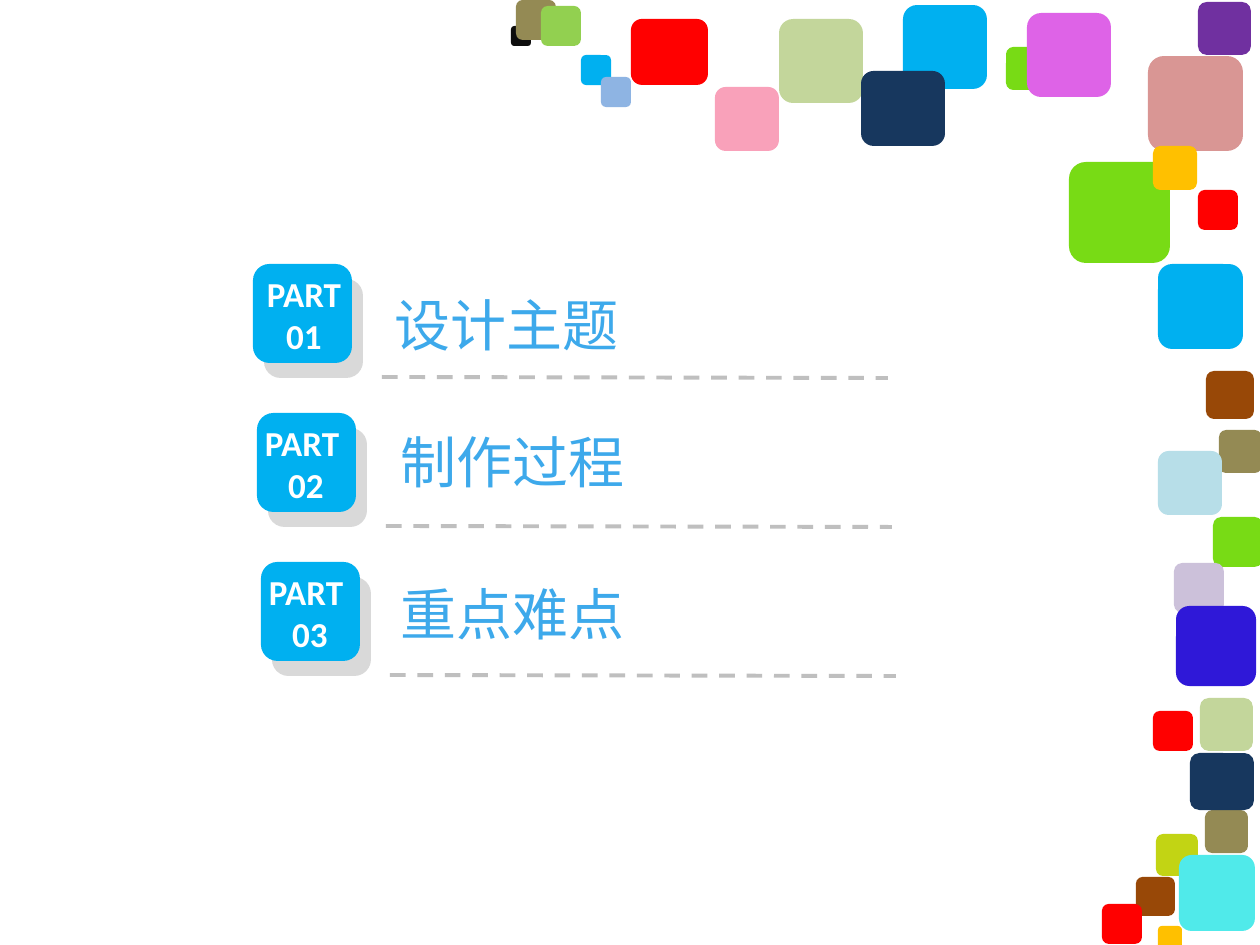
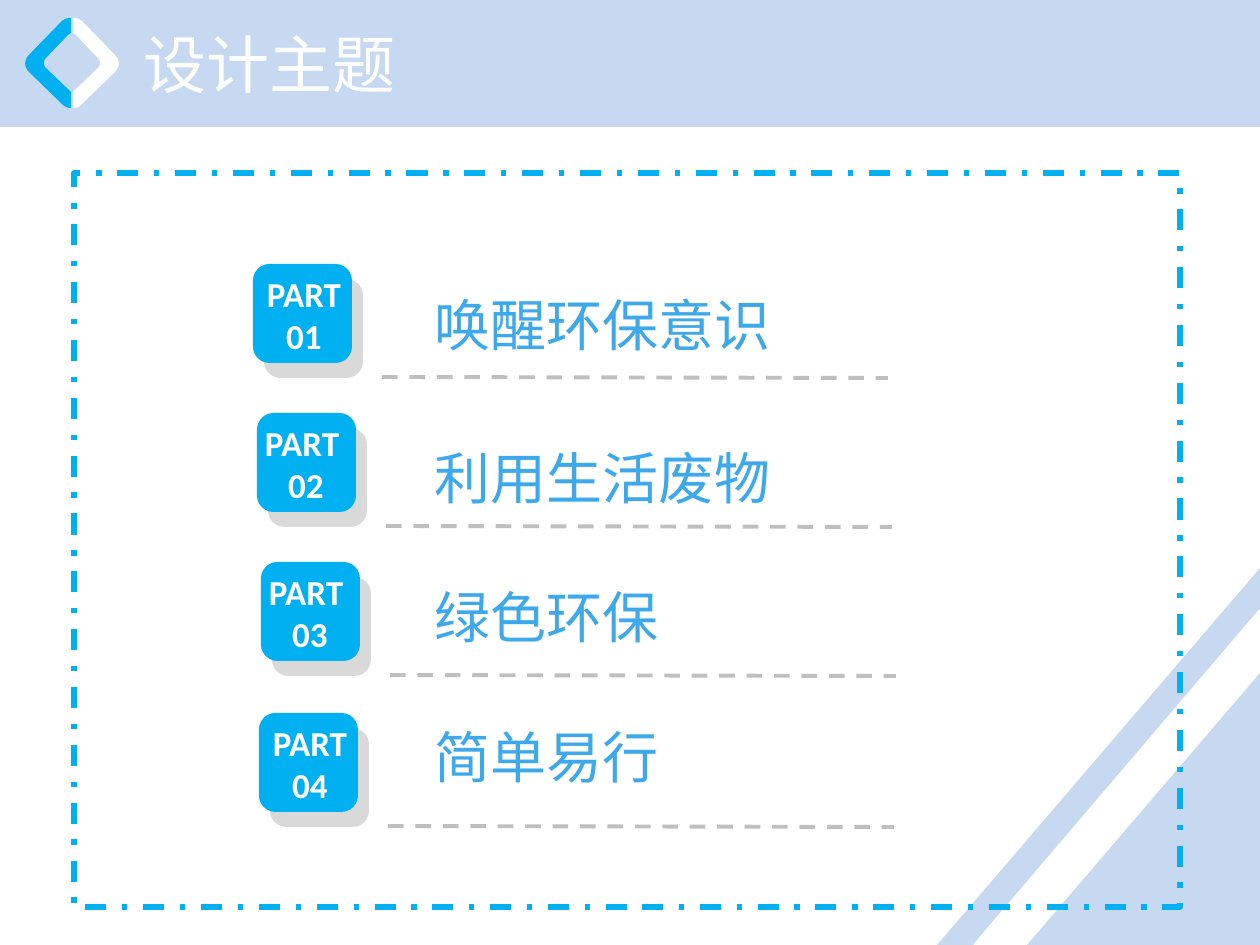
import pptx
import pptx.util
from pptx.dml.color import RGBColor
from pptx.enum.dml import MSO_LINE
from pptx.enum.shapes import MSO_CONNECTOR, MSO_SHAPE
from pptx.enum.text import MSO_ANCHOR, MSO_AUTO_SIZE, PP_ALIGN
from pptx.oxml.ns import qn
from lxml import etree

# Shared look, lengths in px at 126 to the inch
SCALE = 914400 / 126
W, H = 1260, 945
SKY, PALE, LABEL = "00B0F0", "C6D9F1", "3DA9EB"
SHADE, RULE, WHITE = "D9D9D9", "BFBFBF", "FFFFFF"
LATIN, CJK = "Calibri", "Noto Sans CJK SC"

# Contents: (text, left, top) for each part
AGENDA = [("设计主题", 382, 284), ("制作过程", 388, 421), ("重点难点", 388, 573)]
TITLE = "设计主题"
THEMES = [("唤醒环保意识", 422, 284), ("利用生活废物", 422, 437),
          ("绿色环保", 422, 576), ("简单易行", 422, 716)]

# Part badges: left, top, text shift, text width
BADGES = [(253, 264, 0, 102), (257, 413, -5, 108),
          (261, 562, -5, 108), (259, 713, 0, 102)]
BADGE = 99

# Confetti, back to front: left, top, width, height, colour
CONFETTI = [
    (511, 26, 20, 20, "0D0D0D"), (516, 0, 40, 40, "948A54"),
    (581, 55, 30, 30, SKY), (631, 19, 77, 66, "FF0000"),
    (601, 77, 30, 30, "8EB4E3"), (779, 19, 84, 84, "C3D69B"),
    (715, 87, 64, 64, "F9A1BA"), (1206, 371, 48, 48, "984807"),
    (1158, 264, 85, 85, SKY), (903, 5, 84, 84, SKY),
    (1006, 47, 43, 43, "78DB15"), (1027, 13, 84, 84, "DE63E7"),
    (1198, 2, 53, 53, "7030A0"), (1148, 56, 95, 95, "D99694"),
    (1198, 190, 40, 40, "FF0000"), (541, 6, 40, 40, "92D050"),
    (861, 71, 84, 75, "17375E"), (1069, 162, 101, 101, "78DB15"),
    (1153, 146, 44, 44, "FFC000"), (1219, 430, 43, 43, "948A54"),
    (1158, 451, 64, 64, "B7DEE8"), (1213, 517, 50, 50, "78DB15"),
    (1136, 877, 39, 39, "984807"), (1102, 904, 40, 40, "FF0000"),
    (1158, 926, 24, 24, "FFC000"), (1205, 810, 43, 43, "948A54"),
    (1156, 834, 42, 42, "C2D414"), (1179, 855, 76, 76, "50EAEA"),
    (1174, 563, 50, 50, "CCC1DA"), (1176, 606, 80, 80, "2F18D8"),
    (1200, 698, 53, 53, "C3D69B"), (1190, 753, 64, 57, "17375E"),
    (1153, 711, 40, 40, "FF0000"),
]

# Right half of the header emblem: each step is a point or a curve of three
EMBLEM = [
    [(74, 18)], [(77, 18), (79, 19), (82, 21)], [(115, 55)],
    [(120, 60), (120, 67), (115, 72)], [(81, 105)],
    [(79, 107), (76, 108), (73, 108)], [(73, 92)], [(74, 91)], [(97, 69)],
    [(101, 66), (101, 60), (97, 57)], [(76, 35)],
    [(75, 34), (74, 34), (73, 33)], [(73, 18)],
]
EMBLEM_MIRROR = 144


def px(n):
    return pptx.util.Emu(round(n * SCALE))


def rgb(code):
    return RGBColor.from_string(code)


def paint(sp, fill=None, line=None, width=2, dash=None):
    sp.shadow.inherit = False
    if fill:
        sp.fill.solid()
        sp.fill.fore_color.rgb = rgb(fill)
    else:
        sp.fill.background()
    if line:
        sp.line.color.rgb = rgb(line)
        sp.line.width = pptx.util.Pt(width)
        sp.line.dash_style = dash
    else:
        sp.line.fill.background()
    return sp


def shape(shapes, kind, x, y, w, h, fill=None, **outline):
    return paint(shapes.add_shape(kind, px(x), px(y), px(w), px(h)), fill, **outline)


def write(sp, text, size=32, font=CJK, color=LABEL, bold=False,
          align=PP_ALIGN.LEFT, wrap=True):
    tf = sp.text_frame
    tf.word_wrap = wrap
    tf.auto_size = MSO_AUTO_SIZE.NONE
    tf.vertical_anchor = MSO_ANCHOR.TOP
    for i, line in enumerate(text.split("\n")):
        p = tf.add_paragraph() if i else tf.paragraphs[0]
        p.alignment = align
        r = p.add_run()
        r.text = line
        r.font.size = pptx.util.Pt(size)
        r.font.bold = bold
        r.font.color.rgb = rgb(color)
        r.font.name = font
        etree.SubElement(r.font._element, qn("a:ea")).set("typeface", font)


def textbox(shapes, x, y, w, h, text, **fmt):
    write(shapes.add_textbox(px(x), px(y), px(w), px(h)), text, **fmt)


def part(s, number, x, y, shift, text_w):
    """Badge with its shade, number and dashed rule."""
    g = s.shapes.add_group_shape().shapes
    for dx, dy, fill in [(11, 15, SHADE), (0, 0, SKY)]:
        shape(g, MSO_SHAPE.ROUNDED_RECTANGLE, x + dx, y + dy, BADGE, BADGE, fill)
    textbox(g, x + shift, y + 2, text_w, 98, f"PART \n{number:02d}", size=20,
            font=LATIN, color=WHITE, bold=True, align=PP_ALIGN.CENTER)
    rule = g.add_connector(MSO_CONNECTOR.STRAIGHT, px(x + 129), px(y + 113),
                           px(x + 635), px(y + 114))
    rule.line.color.rgb = rgb(RULE)
    rule.line.width = pptx.util.Pt(2.25)
    rule.line.dash_style = MSO_LINE.DASH
    etree.SubElement(rule._element.spPr, qn("a:effectLst"))


def parts(s, items):
    for number, (badge, (text, x, y)) in enumerate(zip(BADGES, items), 1):
        part(s, number, *badge)
        textbox(s.shapes, x, y, 28 + 56 * len(text), 81, text, wrap=False)


def outline_points(steps, n=8):
    """Points of an outline, with each cubic curve cut into n pieces."""
    pts = []
    for step in steps:
        if len(step) == 1:
            pts += step
            continue
        a, (b, c, d) = pts[-1], step
        for t in (i / n for i in range(1, n + 1)):
            u = 1 - t
            pts.append(tuple(u**3 * a[k] + 3 * u * u * t * b[k]
                             + 3 * u * t * t * c[k] + t**3 * d[k] for k in (0, 1)))
    return pts


def emblem(s):
    right = outline_points(EMBLEM)
    left = [(EMBLEM_MIRROR - x, y) for x, y in right]
    g = s.shapes.add_group_shape().shapes
    for pts, fill in [(right, WHITE), (left, SKY)]:
        pts = [(px(x), px(y)) for x, y in pts]
        fb = g.build_freeform(*pts[0])
        fb.add_line_segments(pts[1:], close=True)
        paint(fb.convert_to_shape(), fill)


def corner(s, rise, run, fill, **outline):
    """Right triangle standing in the bottom right corner."""
    half = (rise + run) / 2
    sp = shape(s.shapes, MSO_SHAPE.RIGHT_TRIANGLE, W - half, H - half,
               rise, run, fill, **outline)
    # Turned a quarter about its centre, so move it back to the corner
    sp.left, sp.top = px(W - run / 2 - rise / 2), px(H - rise / 2 - run / 2)
    sp.rotation = 270


def agenda_slide(prs):
    s = prs.slides.add_slide(prs.slide_layouts[6])
    for *box, fill in CONFETTI:
        shape(s.shapes, MSO_SHAPE.ROUNDED_RECTANGLE, *box, fill)
    parts(s, AGENDA)


def theme_slide(prs):
    s = prs.slides.add_slide(prs.slide_layouts[5])
    # Corner stripes and header band
    corner(s, 377, 323, PALE)
    corner(s, 334, 285, WHITE, line=WHITE)
    corner(s, 272, 233, PALE)
    shape(s.shapes, MSO_SHAPE.RECTANGLE, 0, 0, W, 125, PALE, line=PALE)
    emblem(s)
    # Title, brought in front of the band
    title = s.shapes.title
    title.left, title.top, title.width, title.height = map(px, (131, 19, 704, 89))
    write(title, TITLE, size=36, color=WHITE)
    s.shapes._spTree.append(title._element)
    # Framed list of parts
    shape(s.shapes, MSO_SHAPE.RECTANGLE, 74, 173, 1106, 734, line=SKY, width=3,
          dash=MSO_LINE.DASH_DOT)
    parts(s, THEMES)


def main():
    prs = pptx.Presentation()
    prs.slide_width, prs.slide_height = px(W), px(H)
    agenda_slide(prs)
    theme_slide(prs)
    prs.save("out.pptx")


if __name__ == "__main__":
    main()
